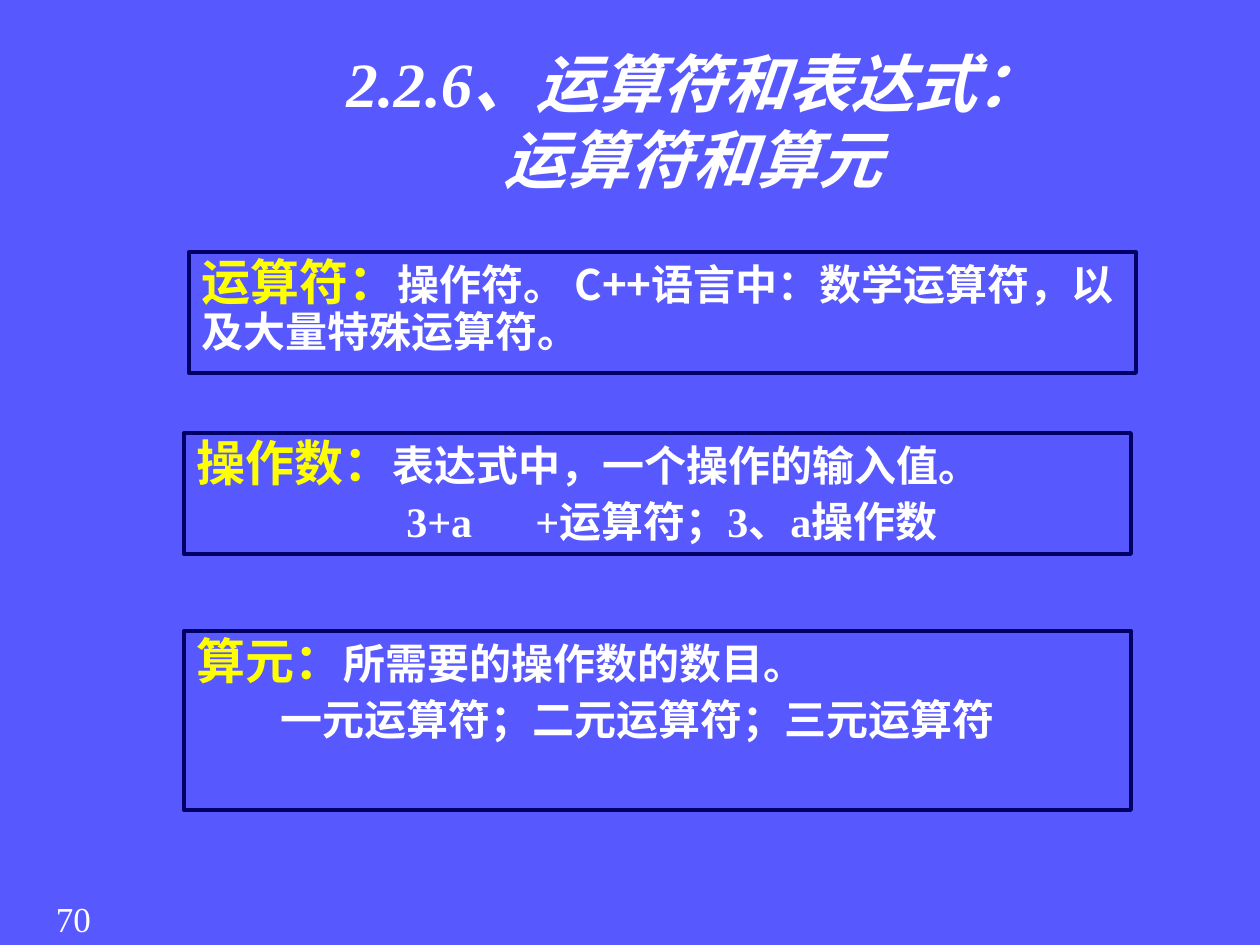
"""Build the slide on operators, operands and arity."""
from lxml.etree import SubElement
from pptx import Presentation
from pptx.dml.color import RGBColor
from pptx.enum.shapes import MSO_SHAPE as Shape
from pptx.enum.text import MSO_ANCHOR as Anchor, PP_ALIGN as Align
from pptx.oxml.ns import qn
from pptx.util import Pt

PX = 914400 / 126
BLUE = RGBColor(0x58, 0x58, 0xFF)
NAVY = RGBColor(0x00, 0x00, 0x66)
WHITE = RGBColor(0xFF, 0xFF, 0xFF)
YELLOW = RGBColor(0xFF, 0xFF, 0x00)
SERIF = "Times New Roman"
SANS = "Noto Sans CJK SC"


def place(*lengths):
    return [round(length * PX) for length in lengths]


def add_run(paragraph, text, size, face, color=WHITE, bold=True, italic=False):
    run = paragraph.add_run()
    run.text = text
    font = run.font
    font.size, font.name, font.bold, font.italic = Pt(size), face, bold, italic
    font.color.rgb = color
    SubElement(font._element, qn("a:ea")).set("typeface", SANS)


deck = Presentation()
deck.slide_width, deck.slide_height = place(1260, 945)
slide = deck.slides.add_slide(deck.slide_layouts[6])
slide.background.fill.solid()
slide.background.fill.fore_color.rgb = BLUE

number = slide.shapes.add_textbox(*place(21, 891, 105, 54)).text_frame
number.word_wrap = True
number.paragraphs[0].alignment = Align.CENTER
add_run(number.paragraphs[0], "70", 20, SERIF, bold=False)

title = slide.shapes.add_textbox(*place(189, 42, 1008, 157)).text_frame
title.word_wrap = True
title.vertical_anchor = Anchor.MIDDLE
heading = title.paragraphs[0]
heading.alignment = Align.CENTER
add_run(heading, "2.2.6、运算符和表达式：", 36, SERIF, italic=True)
heading.add_line_break()
add_run(heading, "运算符和算元", 36, SERIF, italic=True)

definitions = [
    (189, 252, 121, SANS, "运算符：",
     "操作符。 C++语言中：数学运算符，以及大量特殊运算符。", "", []),
    (184, 433, 121, SERIF, "操作数：", "表达式中，一个操作的输入值。",
     "\t3+a\t+运算符；3、a操作数", [210, 339]),
    (184, 631, 179, SANS, "算元：", "所需要的操作数的数目。",
     "\t一元运算符；二元运算符；三元运算符", [84]),
]
for left, top, height, face, term, meaning, example, stops in definitions:
    box = slide.shapes.add_shape(Shape.RECTANGLE, *place(left, top, 947, height))
    box.shadow.inherit = False
    box.fill.background()
    box.line.color.rgb = NAVY
    box.line.width = Pt(2.25)
    frame = box.text_frame
    frame.word_wrap = True
    frame.vertical_anchor = Anchor.TOP
    definition = frame.paragraphs[0]
    add_run(definition, term, 28, face, YELLOW)
    add_run(definition, meaning, 24, face)
    if example:
        illustration = frame.add_paragraph()
        tabs = SubElement(illustration._p.get_or_add_pPr(), qn("a:tabLst"))
        for stop in place(*stops):
            SubElement(tabs, qn("a:tab"), pos=str(stop), algn="l")
        illustration.space_before = Pt(5)
        add_run(illustration, example, 24, face)
    for paragraph in frame.paragraphs:
        paragraph.alignment = Align.LEFT
        paragraph.line_spacing = 0.9

deck.save("out.pptx")
